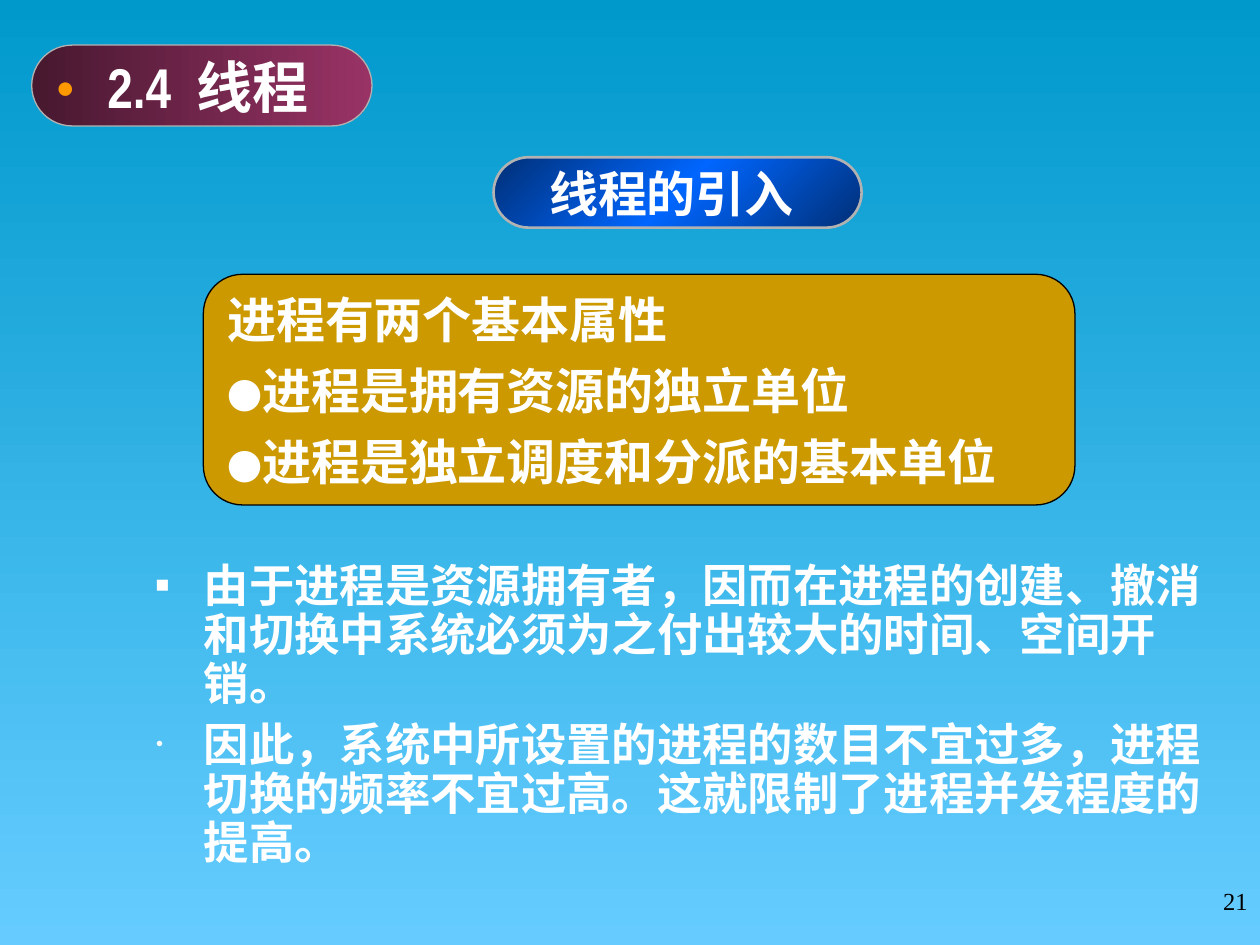
"""Build the slide that introduces threads."""
from lxml import etree
from pptx import Presentation
from pptx.dml.color import RGBColor
from pptx.enum import shapes, text
from pptx.oxml.ns import qn
from pptx.util import Cm, Pt

WHITE = RGBColor(0xFF, 0xFF, 0xFF)
BLACK = RGBColor(0, 0, 0)
GREY = RGBColor(0xB2, 0xB2, 0xB2)
ORANGE = RGBColor(0xFF, 0x99, 0x00)
GOLD = RGBColor(0xCC, 0x99, 0x00)
SKY = RGBColor(0x00, 0x99, 0xCC)
PALE = RGBColor(0x66, 0xCC, 0xFF)
WINE = RGBColor(0x47, 0x18, 0x2F)
PLUM = RGBColor(0x99, 0x33, 0x66)
NAVY = RGBColor(0x00, 0x2F, 0x76)
BLUE = RGBColor(0x00, 0x66, 0xFF)
ROUND = shapes.MSO_SHAPE.ROUNDED_RECTANGLE
SERIF = "Times New Roman"


def shade(fill, root, tones, angle):
    fill.gradient()
    fill.gradient_angle = angle
    stops = next(root.iter(qn("a:gsLst")))
    stops.clear()
    for i, tone in enumerate(tones):
        stop = etree.SubElement(stops, qn("a:gs"), pos=str(i * 100000 // (len(tones) - 1)))
        etree.SubElement(stop, qn("a:srgbClr"), val=str(tone))


def write(para, words, size, face, tone, bold=True):
    run = para.add_run()
    run.text = words
    font = run.font
    font.size, font.name, font.bold = Pt(size), face, bold
    font.color.rgb = tone


deck = Presentation()
deck.slide_width, deck.slide_height = Cm(25.4), Cm(19.05)
slide = deck.slides.add_slide(deck.slide_layouts[5])
shade(slide.background.fill, slide.element, [SKY, PALE], 270)

page = slide.shapes.add_textbox(Cm(19.48), Cm(17.73), Cm(5.92), Cm(1.32))
page.text_frame.word_wrap = True
para = page.text_frame.paragraphs[0]
para.alignment = text.PP_ALIGN.RIGHT
write(para, "21", 14, SERIF, BLACK, False)

body = slide.shapes.add_textbox(Cm(2.89), Cm(11.23), Cm(21.67), Cm(7.19))
frame = body.text_frame
frame.word_wrap = True
points = [
    ("■", "由于进程是资源拥有者，因而在进程的创建、撤消和切换中系统必须为之付出较大的时间、空间开销。"),
    ("•", "因此，系统中所设置的进程的数目不宜过多，进程切换的频率不宜过高。这就限制了进程并发程度的提高。"),
]
for i, (mark, words) in enumerate(points):
    para = frame.add_paragraph() if i else frame.paragraphs[0]
    para.line_spacing = 0.9
    if i:
        para.space_before = Pt(7)
    props = para._p.get_or_add_pPr()
    props.set("marL", str(Cm(0.97)))
    props.set("indent", str(-Cm(0.97)))
    props.set("hangingPunct", "0")
    tint = etree.SubElement(props, qn("a:buClr"))
    etree.SubElement(tint, qn("a:srgbClr"), val=str(WHITE))
    etree.SubElement(props, qn("a:buSzPct"), val="50000")
    etree.SubElement(props, qn("a:buFont"), typeface=SERIF)
    etree.SubElement(props, qn("a:buChar"), char=mark)
    write(para, words, 25.9, "Arial", WHITE)

group = slide.shapes.add_group_shape()
badge = slide.shapes.add_shape(ROUND, Cm(0.64), Cm(0.91), Cm(6.86), Cm(1.63))
pill = group.shapes.add_shape(ROUND, Cm(9.95), Cm(3.17), Cm(7.42), Cm(1.42))
panel = slide.shapes.add_shape(ROUND, Cm(4.1), Cm(5.53), Cm(17.57), Cm(4.65))
looks = [(badge, 0.5, GREY, 0.75), (pill, 0.5, GREY, 1.5), (panel, 0.17, BLACK, 0.75)]
for shape, curve, tone, width in looks:
    shape.shadow.inherit = False
    shape.adjustments[0] = curve
    shape.line.color.rgb = tone
    shape.line.width = Pt(width)
    shape.text_frame.vertical_anchor = text.MSO_ANCHOR.MIDDLE
    shape.text_frame.paragraphs[0].alignment = text.PP_ALIGN.LEFT
shade(badge.fill, badge.element, [WINE, PLUM], 0)
shade(pill.fill, pill.element, [NAVY, BLUE, NAVY], 315)
panel.fill.solid()
panel.fill.fore_color.rgb = GOLD

write(badge.text_frame.paragraphs[0], "●", 18, SERIF, ORANGE, False)

title = slide.shapes.title
title.left, title.top, title.width, title.height = Cm(1.91), Cm(0.64), Cm(5.21), Cm(2.54)
badge.element.addnext(title.element)
frame = title.text_frame
frame.auto_size = text.MSO_AUTO_SIZE.NONE
frame.vertical_anchor = text.MSO_ANCHOR.MIDDLE
para = frame.paragraphs[0]
para.alignment = text.PP_ALIGN.LEFT
para.line_spacing = 0.7
write(para, "2.4  线程", 32, "Arial Narrow", WHITE)

label = group.shapes.add_textbox(Cm(10.82), Cm(3.18), Cm(6.1), Cm(1.45))
label.text_frame.word_wrap = True
write(label.text_frame.paragraphs[0], "线程的引入", 28, "Cabin", WHITE)

frame = panel.text_frame
write(frame.paragraphs[0], "进程有两个基本属性", 28, "Arial", WHITE)
for words in ["进程是拥有资源的独立单位", "进程是独立调度和分派的基本单位"]:
    para = frame.add_paragraph()
    para.alignment = text.PP_ALIGN.LEFT
    para.space_before = Pt(7)
    write(para, "●", 20, SERIF, WHITE)
    write(para, words, 28, "Arial", WHITE)

deck.save("out.pptx")
